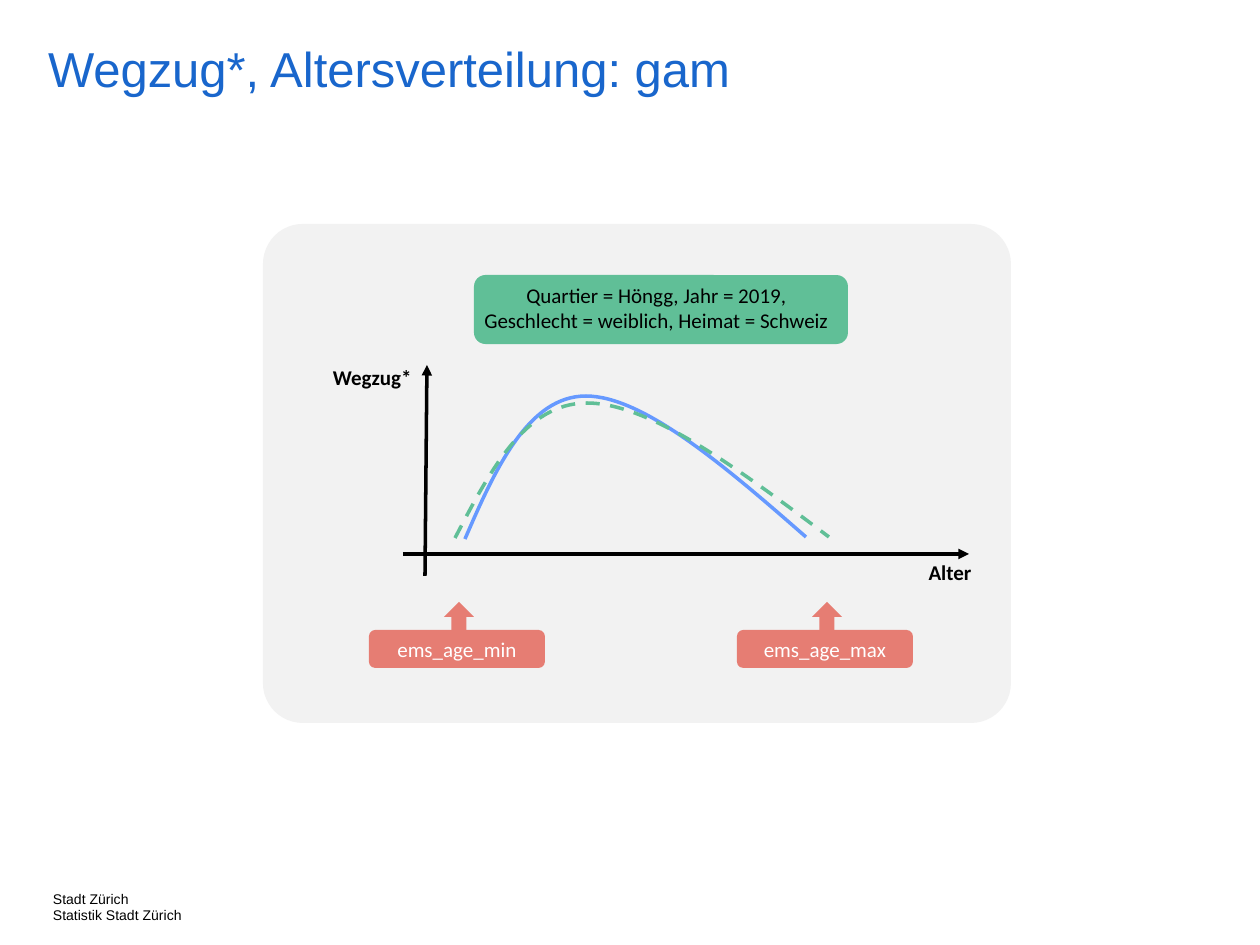
"""Builds the slide on the age distribution of departures, with two fitted curves."""
import pptx
import pptx.dml.color
import pptx.enum.dml
import pptx.enum.shapes
import pptx.enum.text
import pptx.oxml
import pptx.oxml.ns
import pptx.util

RGB = pptx.dml.color.RGBColor
BLACK = RGB(0x00, 0x00, 0x00)
WHITE = RGB(0xFF, 0xFF, 0xFF)
TITLE_BLUE = RGB(0x19, 0x66, 0xCC)
CURVE_BLUE = RGB(0x66, 0x99, 0xFF)
GREEN = RGB(0x60, 0xBF, 0x97)
CORAL = RGB(0xE6, 0x7D, 0x73)
PANEL_GREY = RGB(0xF2, 0xF2, 0xF2)

PRESET = pptx.enum.shapes.MSO_SHAPE
ALIGN = pptx.enum.text.PP_ALIGN
DASH = pptx.enum.dml.MSO_LINE.DASH
PX = 914400 // 126

TITLE = "Wegzug*, Altersverteilung: gam"
FOOTER = ["Stadt Zürich", "Statistik Stadt Zürich"]
SELECTION = ["Quartier = Höngg, Jahr = 2019,", "Geschlecht = weiblich, Heimat = Schweiz"]
AXES = [((403, 554), (969, 554)), ((425, 576), (427, 365))]
AXIS_LABELS = [
    ("Alter", (872, 553, 156, 38), ALIGN.CENTER),
    ("Wegzug*", (318, 358, 106, 38), ALIGN.RIGHT),
]
CURVES = [
    ([(465, 539), (496, 467), (529, 396), (586, 396),
      (643, 396), (725, 466), (806, 537)], CURVE_BLUE, None),
    ([(455, 538), (490, 471), (525, 403), (587, 403),
      (650, 403), (740, 470), (829, 537)], GREEN, DASH),
]
TAGS = [("ems_age_max", 737), ("ems_age_min", 369)]


def scaled(values):
    return [pptx.util.Emu(value * PX) for value in values]


def write(frame, lines, size, color, font="Calibri", align=None, bold=None, spacing=None):
    para = frame.paragraphs[0]
    para.alignment = align
    para.line_spacing = spacing
    for index, line in enumerate(lines):
        if index:
            para.add_line_break()
        span = para.add_run()
        span.text = line
        span.font.size = pptx.util.Pt(size)
        span.font.name = font
        span.font.bold = bold
        span.font.color.rgb = color


def clear_margins(frame):
    frame.margin_left = frame.margin_top = frame.margin_right = frame.margin_bottom = 0


def add_label(shapes, area, lines, color, align=ALIGN.CENTER, bold=None):
    box = shapes.add_textbox(*scaled(area))
    box.text_frame.word_wrap = True
    write(box.text_frame, lines, 12, color, align=align, bold=bold)


def add_block(shapes, preset, area, color):
    block = shapes.add_shape(preset, *scaled(area))
    block.shadow.inherit = False
    block.fill.solid()
    block.fill.fore_color.rgb = color
    block.line.fill.background()
    return block


def add_axis(shapes, start, end):
    axis = shapes.add_connector(
        pptx.enum.shapes.MSO_CONNECTOR.STRAIGHT, *scaled(start + end))
    axis.line.color.rgb = BLACK
    axis.line.width = pptx.util.Pt(2)
    pptx.oxml.ns.qn("a:tailEnd")
    head = pptx.oxml.parse_xml(
        f'<a:tailEnd {pptx.oxml.ns.nsdecls("a")} type="triangle"/>')
    axis.line._get_or_add_ln().append(head)
    axis._element.spPr.append(
        pptx.oxml.parse_xml(f'<a:effectLst {pptx.oxml.ns.nsdecls("a")}/>'))


def add_curve(shapes, points, color, dash):
    builder = shapes.build_freeform(*points[0], scale=PX)
    builder.add_line_segments(points[1:], close=False)
    curve = builder.convert_to_shape()
    segments = list(curve._element.iter(pptx.oxml.ns.qn("a:lnTo")))
    for first in range(0, len(segments), 3):
        bezier = pptx.oxml.parse_xml(
            f'<a:cubicBezTo {pptx.oxml.ns.nsdecls("a")}/>')
        segments[first].addprevious(bezier)
        for segment in segments[first:first + 3]:
            bezier.append(segment[0])
            segment.getparent().remove(segment)
    curve.shadow.inherit = False
    curve.fill.background()
    curve.line.color.rgb = color
    curve.line.width = pptx.util.Pt(2)
    curve.line.dash_style = dash


def add_tag(shapes, text, left):
    tag = shapes.add_group_shape().shapes
    add_block(tag, PRESET.UP_ARROW, (left + 75, 602, 30, 35), CORAL)
    add_block(tag, PRESET.ROUNDED_RECTANGLE, (left, 630, 176, 38), CORAL)
    add_label(tag, (left - 7, 630, 190, 38), [text], WHITE)


def main():
    deck = pptx.Presentation()
    deck.slide_width, deck.slide_height = scaled((1260, 945))
    page = deck.slides.add_slide(deck.slide_layouts[5])
    shapes = page.shapes

    title = shapes.title
    title.left, title.top, title.width, title.height = scaled((48, 45, 1058, 81))
    frame = title.text_frame
    clear_margins(frame)
    frame.auto_size = pptx.enum.text.MSO_AUTO_SIZE.NONE
    frame.vertical_anchor = pptx.enum.text.MSO_ANCHOR.TOP
    write(frame, [TITLE], 28, TITLE_BLUE, "Arial", ALIGN.LEFT, spacing=0.9)

    footer = shapes.add_textbox(*scaled((53, 893, 165, 25))).text_frame
    clear_margins(footer)
    footer.word_wrap = False
    write(footer, FOOTER, 8, BLACK, "Arial", ALIGN.LEFT, spacing=0.9)

    panel = add_block(shapes, PRESET.ROUNDED_RECTANGLE, (263, 224, 748, 499), PANEL_GREY)
    panel.adjustments[0] = 0.08
    for start, end in AXES:
        add_axis(shapes, start, end)
    for text, area, align in AXIS_LABELS:
        add_label(shapes, area, [text], BLACK, align, bold=True)
    for points, color, dash in CURVES:
        add_curve(shapes, points, color, dash)

    selection = shapes.add_group_shape().shapes
    add_block(selection, PRESET.ROUNDED_RECTANGLE, (474, 275, 374, 69), GREEN)
    add_label(selection, (467, 276, 379, 63), SELECTION, BLACK)
    for text, left in TAGS:
        add_tag(shapes, text, left)

    deck.save("out.pptx")


if __name__ == "__main__":
    main()
